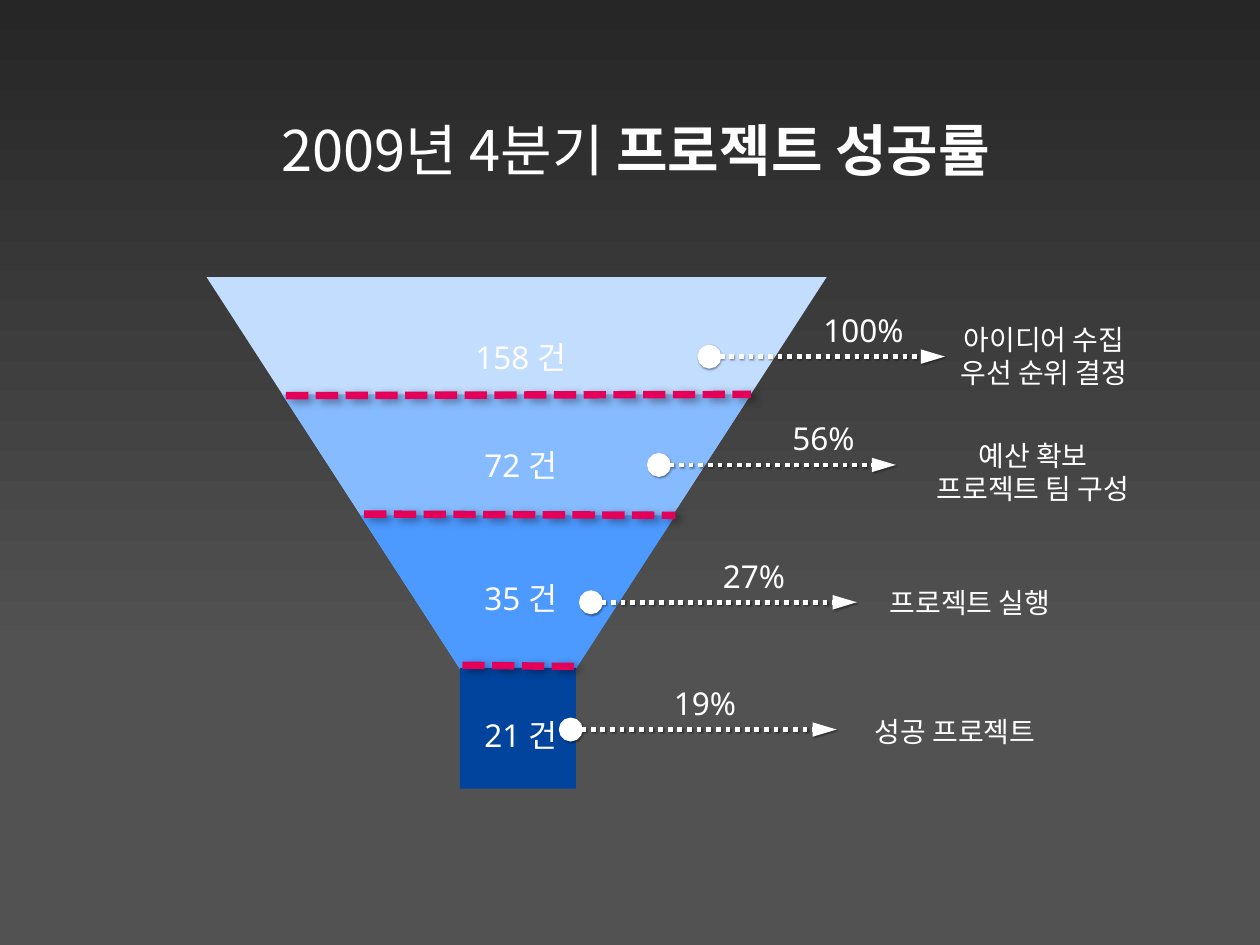
from lxml import etree
from pptx import Presentation
from pptx.dml.color import RGBColor
from pptx.enum.dml import MSO_LINE
from pptx.enum.shapes import MSO_CONNECTOR, MSO_SHAPE
from pptx.enum.text import MSO_ANCHOR, MSO_AUTO_SIZE, PP_ALIGN
from pptx.oxml.ns import qn
from pptx.util import Inches, Pt

STRAIGHT = MSO_CONNECTOR.STRAIGHT
TRIANGLE, RECTANGLE = MSO_SHAPE.ISOSCELES_TRIANGLE, MSO_SHAPE.RECTANGLE
SQUARE_DASH, SQUARE_DOT = MSO_LINE.SQUARE_DOT, MSO_LINE.ROUND_DOT
CENTER, RIGHT = PP_ALIGN.CENTER, PP_ALIGN.RIGHT
WHITE = RGBColor(0xFF, 0xFF, 0xFF)
PINK = RGBColor(0xE4, 0x00, 0x59)
GRAY = RGBColor(0x52, 0x52, 0x52)
CHARCOAL = RGBColor(0x26, 0x26, 0x26)
PALE_BLUE = RGBColor(0xC3, 0xDD, 0xFF)
LIGHT_BLUE = RGBColor(0x87, 0xBB, 0xFF)
BRIGHT_BLUE = RGBColor(0x4C, 0x99, 0xFF)
NAVY = RGBColor(0x00, 0x44, 0x9E)

prs = Presentation()
prs.slide_width, prs.slide_height = Inches(10), Inches(7.5)
slide = prs.slides.add_slide(prs.slide_layouts[5])

backdrop = slide.background.fill
backdrop.gradient()
backdrop.gradient_angle = 90
for stop, position, color in zip(backdrop.gradient_stops, (0.3, 1), (GRAY, CHARCOAL)):
    stop.position = position
    stop.color.rgb = color


def add_label(left, top, width, height, lines, font_name, size, align):
    label = slide.shapes.add_textbox(Inches(left), Inches(top), Inches(width), Inches(height))
    frame = label.text_frame
    frame.word_wrap = True
    frame.auto_size = MSO_AUTO_SIZE.SHAPE_TO_FIT_TEXT
    for index, line in enumerate(lines):
        paragraph = frame.add_paragraph() if index else frame.paragraphs[0]
        paragraph.alignment = align
        run = paragraph.add_run()
        run.text = line
        run.font.name = font_name
        run.font.size = Pt(size)
        run.font.color.rgb = WHITE


def add_line(x1, y1, x2, y2, color, width, dash, blur, distance, angle):
    connector = slide.shapes.add_connector(
        STRAIGHT, Inches(x1), Inches(y1), Inches(x2), Inches(y2))
    connector.line.color.rgb = color
    connector.line.width = Pt(width)
    connector.line.dash_style = dash
    effects = etree.SubElement(connector._element.spPr, qn("a:effectLst"))
    shadow = etree.SubElement(
        effects, qn("a:outerShdw"), blurRad=str(Pt(blur)), dist=str(Pt(distance)),
        dir=str(angle * 60000), algn="tl", rotWithShape="0")
    shade = etree.SubElement(shadow, qn("a:srgbClr"), val="000000")
    etree.SubElement(shade, qn("a:alpha"), val="40000")
    return connector


title = slide.shapes.title
title.left, title.top = Inches(1.41), Inches(0.86)
title.width, title.height = Inches(7.27), Inches(0.64)
title_frame = title.text_frame
title_frame.word_wrap = True
title_frame.auto_size = MSO_AUTO_SIZE.NONE
title_frame.vertical_anchor = MSO_ANCHOR.MIDDLE
title_frame.paragraphs[0].alignment = CENTER
for text, bold in (("2009년 4분기 ", False), ("프로젝트 성공률", True)):
    run = title_frame.paragraphs[0].add_run()
    run.text = text
    run.font.name = "Noto Sans CJK KR"
    run.font.size = Pt(32)
    run.font.bold = bold
    run.font.color.rgb = WHITE

funnel = [
    (TRIANGLE, 1.64, 2.2, 4.92, 3.8, PALE_BLUE),
    (TRIANGLE, 2.24, 3.13, 3.72, 2.87, LIGHT_BLUE),
    (TRIANGLE, 2.86, 4.09, 2.5, 1.93, BRIGHT_BLUE),
    (RECTANGLE, 3.65, 5.3, 0.92, 0.96, NAVY),
]
for kind, left, top, width, height, color in funnel:
    layer = slide.shapes.add_shape(
        kind, Inches(left), Inches(top), Inches(width), Inches(height))
    layer.rotation = 180 if kind == TRIANGLE else 0
    layer.shadow.inherit = False
    layer.fill.solid()
    layer.fill.fore_color.rgb = color
    layer.line.fill.background()

dividers = [(2.27, 3.14, 5.96, 3.13), (2.89, 4.08, 5.36, 4.09), (3.67, 5.28, 4.58, 5.29)]
for ends in dividers:
    add_line(*ends, PINK, 4.25, SQUARE_DASH, 5, 3, 30)

stages = [
    ("158 건", 2.63, "100%", 6.41, (5.63, 7.5, 2.83),
     (7.19, 2.51, 2.19, 0.64), ["아이디어 수집", "우선 순위 결정"]),
    ("72 건", 3.49, "56%", 6.02, (5.23, 7.11, 3.69),
     (7.03, 3.43, 2.34, 0.64), ["예산 확보", "프로젝트 팀 구성"]),
    ("35 건", 4.55, "27%", 5.47, (4.69, 6.8, 4.78),
     (6.8, 4.6, 1.8, 0.37), ["프로젝트 실행"]),
    ("21 건", 5.63, "19%", 5.08, (4.53, 6.64, 5.79),
     (6.64, 5.62, 1.88, 0.37), ["성공 프로젝트"]),
]
for count, count_top, rate, rate_left, (start, end, y), place, description in stages:
    arrow = add_line(start, y, end, y, WHITE, 2.75, SQUARE_DOT, 1, 1, 45)
    outline = arrow.line._get_or_add_ln()
    etree.SubElement(outline, qn("a:headEnd"), type="oval", w="lg", len="lg")
    etree.SubElement(outline, qn("a:tailEnd"), type="triangle", w="med", len="lg")
    add_label(*place, description, "Arial", 16, CENTER)
    add_label(3.2, count_top, 1.87, 0.4, [count], "Noto Sans", 18, CENTER)
    add_label(rate_left, y - 0.41, 0.86, 0.4, [rate], "Noto Sans", 18, RIGHT)

prs.save("out.pptx")
